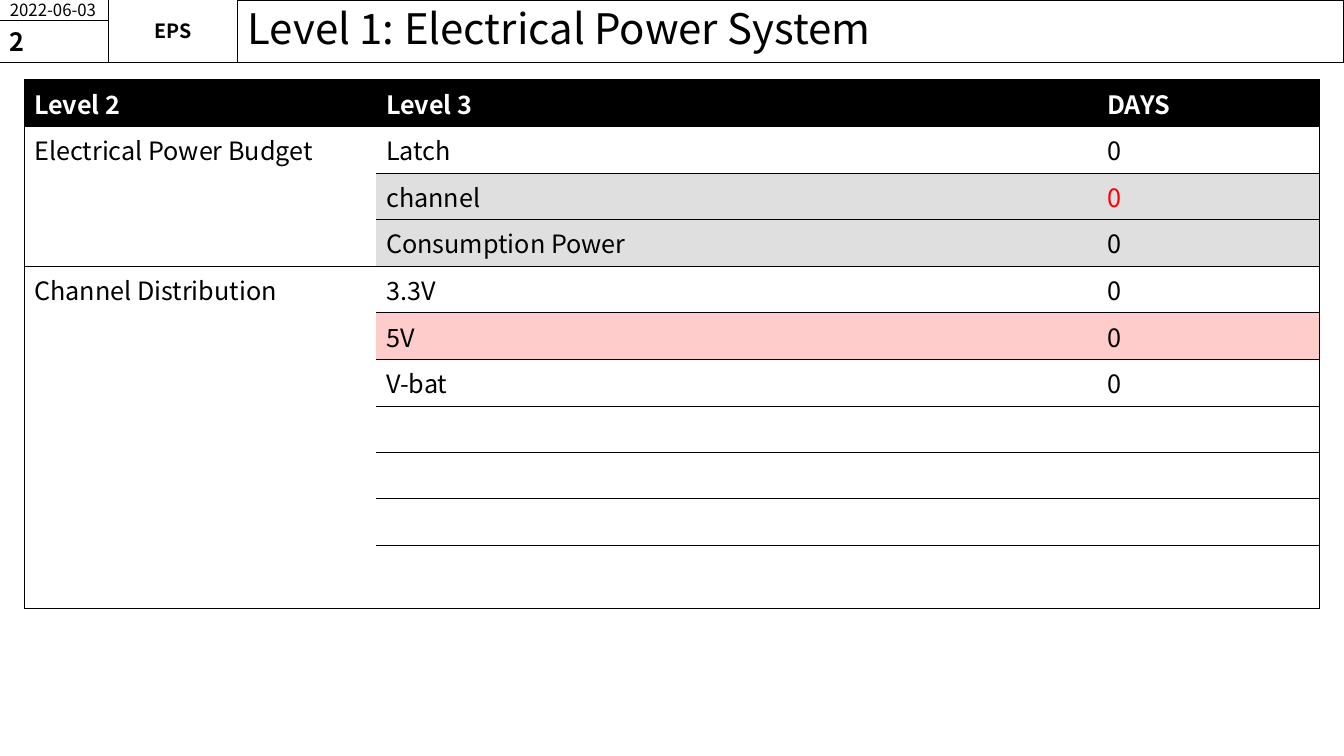
"""Build the work breakdown slide for the electrical power system."""
from typing import NamedTuple, Optional

from lxml.etree import SubElement
from pptx import Presentation
from pptx.dml.color import RGBColor
from pptx.enum.shapes import MSO_SHAPE
from pptx.enum.text import MSO_ANCHOR, MSO_AUTO_SIZE, PP_ALIGN
from pptx.oxml.ns import qn
from pptx.util import Cm, Pt

FONT = "Noto Sans CJK KR"
BLACK, WHITE, RED = "000000", "FFFFFF", "FF0000"
GREY, PINK = "DFDFDF", "FFCCCC"

SLIDE_WIDTH, SLIDE_HEIGHT = 33.87, 19.05
HEADER_HEIGHT, DATE_HEIGHT = 1.57, 0.52
DATE_WIDTH, TITLE_LEFT = 2.74, 5.99
TABLE_LEFT, TABLE_TOP = 0.61, 2.01
COLUMN_WIDTHS = (8.87, 18.17, 5.6)
ROW_HEIGHT, LAST_ROW_HEIGHT = 1.17, 1.6


class HeaderBox(NamedTuple):
    text: str
    left: float
    top: float
    width: float
    height: float
    size: int
    bold: bool = True
    centred: bool = False


class Task(NamedTuple):
    level2: str = ""
    level3: str = ""
    days: str = ""
    fill: Optional[str] = None
    days_color: str = BLACK


HEADER_BOXES = (
    HeaderBox("2022-06-03", 0, 0, DATE_WIDTH, DATE_HEIGHT, 12, bold=False),
    HeaderBox("EPS", DATE_WIDTH, 0, TITLE_LEFT - DATE_WIDTH, HEADER_HEIGHT, 14, centred=True),
    HeaderBox("2", 0, DATE_HEIGHT, DATE_WIDTH, HEADER_HEIGHT - DATE_HEIGHT, 18),
)
TASKS = (
    Task("Level 2", "Level 3", "DAYS", BLACK, WHITE),
    Task("Electrical Power Budget", "Latch", "0"),
    Task("", "channel", "0", GREY, RED),
    Task("", "Consumption Power", "0", GREY),
    Task("Channel Distribution", "3.3V", "0"),
    Task("", "5V", "0", PINK),
    Task("", "V-bat", "0"),
    Task(), Task(), Task(), Task(),
)
LEVEL2_SPANS = ((1, 3), (4, 9))


def rgb(color: str) -> RGBColor:
    """Turn a hex string into a colour."""
    return RGBColor.from_string(color)


def style_text(frame, size: int, color: str = BLACK, bold: bool = False) -> None:
    """Set the font of every run in a text frame."""
    for paragraph in frame.paragraphs:
        for run in paragraph.runs:
            run.font.name, run.font.size = FONT, Pt(size)
            run.font.bold = bold
            run.font.color.rgb = rgb(color)


def outline(shape) -> None:
    """Give a shape a thin black outline."""
    shape.line.color.rgb = rgb(BLACK)
    shape.line.width = Pt(0.75)


def add_title(slide, text: str) -> None:
    """Place and format the title placeholder."""
    title = slide.shapes.title
    title.left, title.top = Cm(TITLE_LEFT), Cm(0)
    title.width, title.height = Cm(SLIDE_WIDTH - TITLE_LEFT), Cm(HEADER_HEIGHT)
    outline(title)
    frame = title.text_frame
    frame.text = text
    frame.auto_size = MSO_AUTO_SIZE.NONE
    frame.vertical_anchor = MSO_ANCHOR.MIDDLE
    frame.paragraphs[0].alignment = PP_ALIGN.LEFT
    frame.paragraphs[0].line_spacing = 0.9
    style_text(frame, 30)


def add_header_box(slide, box: HeaderBox) -> None:
    """Draw one outlined box of the header strip."""
    shape = slide.shapes.add_shape(
        MSO_SHAPE.RECTANGLE, Cm(box.left), Cm(box.top), Cm(box.width), Cm(box.height))
    shape.shadow.inherit = False
    shape.fill.background()
    outline(shape)
    frame = shape.text_frame
    frame.text = box.text
    frame.word_wrap = True
    frame.vertical_anchor = MSO_ANCHOR.MIDDLE
    frame.paragraphs[0].alignment = PP_ALIGN.CENTER if box.centred else PP_ALIGN.LEFT
    if box.centred:
        frame.margin_left = frame.margin_right = frame.margin_top = frame.margin_bottom = 0
    style_text(frame, box.size, bold=box.bold)


def set_borders(cell, visible: str) -> None:
    """Draw the sides named in visible (L, R, T, B) and hide the others."""
    properties = cell._tc.get_or_add_tcPr()
    for side in "LRTB":
        line = SubElement(properties, qn(f"a:ln{side}"), w=str(Pt(0.5)))
        if side in visible:
            fill = SubElement(line, qn("a:solidFill"))
            SubElement(fill, qn("a:srgbClr"), val=BLACK)
        else:
            SubElement(line, qn("a:noFill"))


def visible_sides(row: int, column: int) -> str:
    """Name the ruled sides of a cell: all rows, but only whole groups in Level 2."""
    if column:
        return "TBR" if column == len(COLUMN_WIDTHS) - 1 else "TB"
    top = "T" if row in (0, 1, 4) else ""
    bottom = "B" if row in (0, 3, len(TASKS) - 1) else ""
    return "L" + top + bottom


def add_task_table(slide) -> None:
    """Add the table of tasks and their days."""
    height = ROW_HEIGHT * (len(TASKS) - 1) + LAST_ROW_HEIGHT
    table = slide.shapes.add_table(
        len(TASKS), len(COLUMN_WIDTHS), Cm(TABLE_LEFT), Cm(TABLE_TOP),
        Cm(sum(COLUMN_WIDTHS)), Cm(height)).table
    table.first_row = table.horz_banding = False
    for column, width in zip(table.columns, COLUMN_WIDTHS):
        column.width = Cm(width)
    for row, task in enumerate(TASKS):
        is_last, is_heading = row == len(TASKS) - 1, row == 0
        table.rows[row].height = Cm(LAST_ROW_HEIGHT if is_last else ROW_HEIGHT)
        for column, text in enumerate((task.level2, task.level3, task.days)):
            cell = table.cell(row, column)
            set_borders(cell, visible_sides(row, column))
            if task.fill and (column or is_heading):
                cell.fill.solid()
                cell.fill.fore_color.rgb = rgb(task.fill)
            else:
                cell.fill.background()
            if text:
                cell.text_frame.text = text
                color = task.days_color if column == 2 or is_heading else BLACK
                style_text(cell.text_frame, 18, color, is_heading)
    for first, last in LEVEL2_SPANS:
        table.cell(first, 0).merge(table.cell(last, 0))


def main() -> None:
    """Build and save the slide."""
    presentation = Presentation()
    presentation.slide_width, presentation.slide_height = Cm(SLIDE_WIDTH), Cm(SLIDE_HEIGHT)
    slide = presentation.slides.add_slide(presentation.slide_layouts[5])
    add_title(slide, "Level 1: Electrical Power System")
    for box in HEADER_BOXES:
        add_header_box(slide, box)
    add_task_table(slide)
    presentation.save("out.pptx")


if __name__ == "__main__":
    main()
